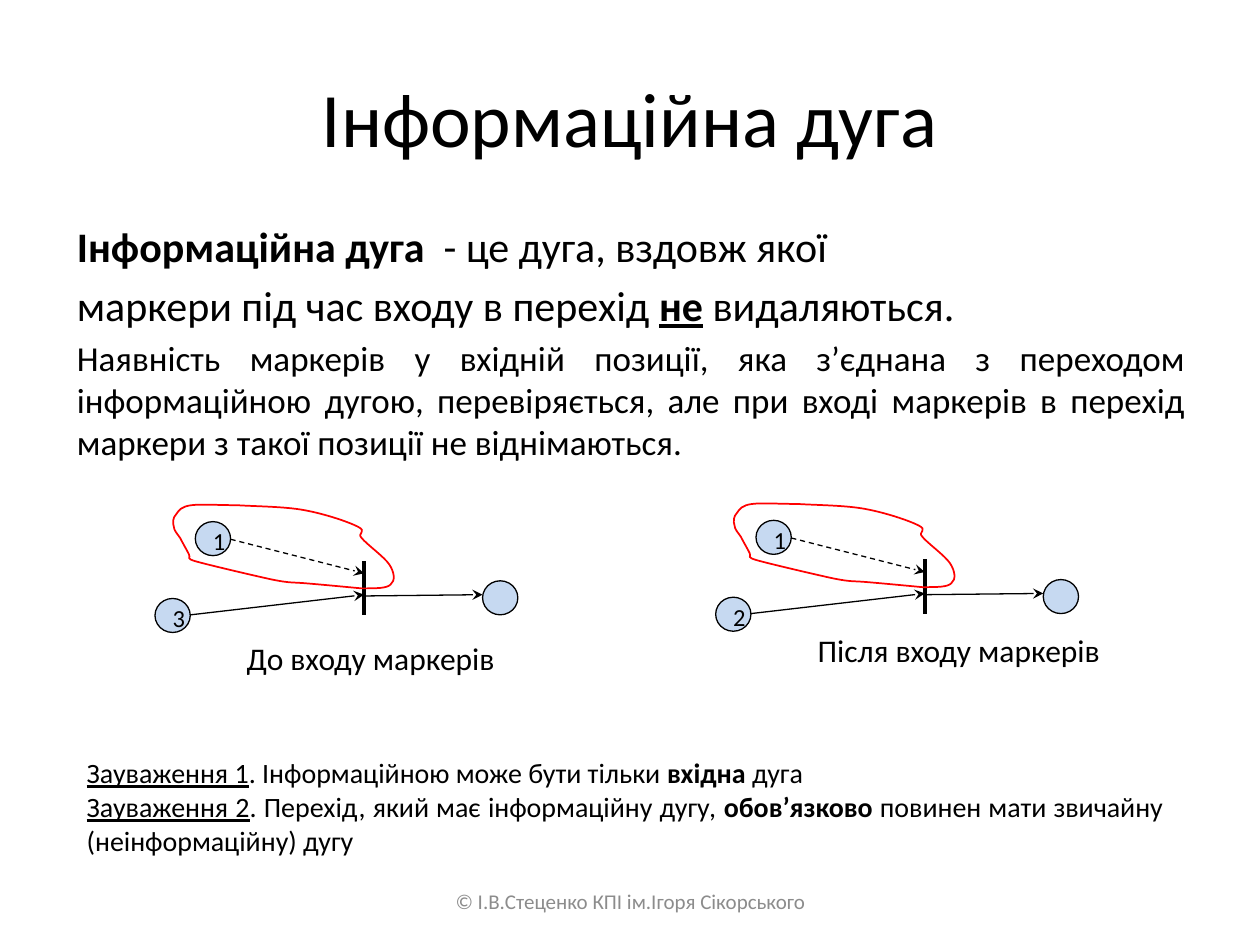
from lxml.etree import SubElement
from pptx import Presentation
from pptx.dml.color import RGBColor
from pptx.enum.dml import MSO_LINE
from pptx.enum.shapes import MSO_CONNECTOR, MSO_SHAPE
from pptx.enum.text import MSO_ANCHOR, MSO_AUTO_SIZE, PP_ALIGN
from pptx.oxml.ns import qn
from pptx.util import Pt

EMU_PER_PX = 9144  # 100 px to the inch
BLACK, RED, GREY, PALE_BLUE = "000000", "FF0000", "8C8C8C", "C6D9F1"
BOLD, UNDERLINE = {"bold": True}, {"underline": True}
PLACE_SIZE = (28, 27)

# Outline around the information arc: start, then cubic curves (two controls, end)
LOOP_START = (161, 17)
LOOP_CURVES = [
    [(153, 13), (135, 7), (119, 4)], [(103, 1), (80, 1), (65, 0)],
    [(50, 0), (37, -1), (29, 0)], [(21, 1), (19, 4), (17, 7)],
    [(14, 10), (14, 14), (15, 17)], [(15, 20), (18, 23), (20, 26)],
    [(22, 30), (25, 35), (27, 39)], [(29, 42), (23, 42), (34, 45)],
    [(45, 48), (79, 56), (93, 59)], [(108, 62), (108, 61), (120, 62)],
    [(132, 63), (153, 65), (164, 66)], [(176, 66), (184, 66), (187, 63)],
    [(191, 60), (190, 53), (186, 47)], [(182, 41), (168, 31), (164, 26)],
    [(160, 22), (169, 21), (161, 17)],
]


def px(*lengths):
    return [round(length * EMU_PER_PX) for length in lengths]


def color(hex_string):
    return RGBColor.from_string(hex_string)


def place(shape, box):
    for name, value in zip(("left", "top", "width", "height"), px(*box)):
        setattr(shape, name, value)


def write(paragraph, runs, size, align=PP_ALIGN.LEFT, hex_string=BLACK):
    """Fill a paragraph with (text, font values) runs."""
    paragraph.alignment = align
    for text, extra in runs:
        run = paragraph.add_run()
        run.text = text
        values = {"name": "Calibri", "size": Pt(size), **extra}
        for name, value in values.items():
            setattr(run.font, name, value)
        run.font.color.rgb = color(hex_string)


def style_line(line, hex_string, width):
    line.color.rgb = color(hex_string)
    line.width = Pt(width)


def add_title(slide, box):
    title = slide.shapes.title
    place(title, box)
    write(title.text_frame.paragraphs[0], [("Інформаційна дуга", {})], 44, PP_ALIGN.CENTER)


def write_paragraphs(frame, content):
    """Write justified paragraphs, each given as (size, runs)."""
    frame.word_wrap = True
    frame.auto_size = MSO_AUTO_SIZE.SHAPE_TO_FIT_TEXT
    for index, (size, runs) in enumerate(content):
        paragraph = frame.add_paragraph() if index else frame.paragraphs[0]
        write(paragraph, runs, size, PP_ALIGN.JUSTIFY)


def add_definition(slide, box):
    body = slide.placeholders[1]
    place(body, box)
    write_paragraphs(body.text_frame, [
        (24, [("Інформаційна дуга ", BOLD), (" - це дуга, вздовж якої ", {})]),
        (24, [("маркери під час входу в перехід ", {}),
              ("не", {**BOLD, **UNDERLINE}), (" видаляються.", {})]),
        (20, [("Наявність маркерів у вхідній позиції, яка з’єднана з переходом "
               "інформаційною дугою, перевіряється, але при вході маркерів в перехід "
               "маркери з такої позиції не віднімаються.", {})]),
    ])
    # Plain paragraphs without bullets
    for paragraph in body.text_frame.paragraphs:
        properties = paragraph._p.get_or_add_pPr()
        properties.set("marL", "0")
        properties.set("indent", "0")
        SubElement(properties, qn("a:buNone"))


def add_notes_text(slide, box):
    frame = slide.shapes.add_textbox(*px(*box)).text_frame
    write_paragraphs(frame, [
        (16, [("Зауваження 1", UNDERLINE), (". Інформаційною може бути тільки ", {}),
              ("вхідна ", BOLD), ("дуга", {})]),
        (16, [("Зауваження 2", UNDERLINE),
              (". Перехід, який має інформаційну дугу, ", {}), ("обов’язково", BOLD),
              (" повинен мати звичайну (неінформаційну) дугу", {})]),
    ])


def add_caption(slide, box, text):
    frame = slide.shapes.add_textbox(*px(*box)).text_frame
    frame.word_wrap = False
    frame.auto_size = MSO_AUTO_SIZE.SHAPE_TO_FIT_TEXT
    write(frame.paragraphs[0], [(text, {})], 18)


def add_footer(slide, box):
    frame = slide.shapes.add_textbox(*px(*box)).text_frame
    frame.word_wrap = True
    frame.vertical_anchor = MSO_ANCHOR.MIDDLE
    write(frame.paragraphs[0], [("© І.В.Стеценко КПІ ім.Ігоря Сікорського", {})],
          12, PP_ALIGN.CENTER, GREY)


def add_arc(shapes, start, end, width=0.75, dashed=False, arrow=True):
    arc = shapes.add_connector(MSO_CONNECTOR.STRAIGHT, *px(*start, *end))
    style_line(arc.line, BLACK, width)
    if dashed:
        arc.line.dash_style = MSO_LINE.DASH
    if arrow:
        SubElement(arc.line._get_or_add_ln(), qn("a:tailEnd"), type="stealth")
    SubElement(arc._element.spPr, qn("a:effectLst"))


def add_position(shapes, left, top, tokens=""):
    position = shapes.add_shape(MSO_SHAPE.OVAL, *px(left, top, *PLACE_SIZE))
    position.shadow.inherit = False
    position.fill.solid()
    position.fill.fore_color.rgb = color(PALE_BLUE)
    style_line(position.line, BLACK, 0.75)
    if tokens:
        frame = position.text_frame
        frame.vertical_anchor = MSO_ANCHOR.TOP
        frame.paragraphs[0].line_spacing = 0.75
        write(frame.paragraphs[0], [(tokens, {})], 14, PP_ALIGN.CENTER)


def add_loop(shapes, at):
    """Draw the red loop around the information arc."""
    builder = shapes.build_freeform(*px(*at(*LOOP_START)), scale=1.0)
    points = [px(*at(*point)) for curve in LOOP_CURVES for point in curve]
    builder.add_line_segments(points, close=True)
    loop = builder.convert_to_shape()
    loop.shadow.inherit = False
    loop.fill.background()
    style_line(loop.line, RED, 1)

    # Join every three straight segments into one cubic curve
    outline = next(loop._element.iter(qn("a:path")))
    segments = outline.findall(qn("a:lnTo"))
    for first in range(0, len(segments), 3):
        curve = SubElement(outline, qn("a:cubicBezTo"))
        for segment in segments[first:first + 3]:
            curve.append(segment[0])
            outline.remove(segment)
    outline.append(outline.find(qn("a:close")))


def add_petri_net(slide, left, top, ordinary_tokens):
    shapes = slide.shapes.add_group_shape().shapes

    def at(x, y):
        return left + x, top + y

    # Transition bar and arcs, positions in drawing order
    add_arc(shapes, at(166, 87), at(166, 44), width=2.25, arrow=False)
    add_arc(shapes, at(28, 87), at(166, 71))
    add_position(shapes, *at(32, 13), "1")
    add_arc(shapes, at(60, 27), at(166, 54), dashed=True)
    add_loop(shapes, at)
    add_position(shapes, *at(260, 60))
    add_arc(shapes, at(166, 72), at(260, 71))
    add_position(shapes, *at(0, 74), ordinary_tokens)


def main():
    presentation = Presentation()
    presentation.slide_width, presentation.slide_height = px(1000, 750)
    slide = presentation.slides.add_slide(presentation.slide_layouts[1])
    add_title(slide, (50, 30, 900, 125))
    add_footer(slide, (342, 695, 317, 40))
    add_definition(slide, (51, 170, 900, 207))
    add_petri_net(slide, 123, 401, "3")
    add_petri_net(slide, 568, 400, "2")
    add_notes_text(slide, (59, 595, 874, 91))
    add_caption(slide, (186, 502, 219, 40), "До входу маркерів")
    add_caption(slide, (639, 496, 247, 40), "Після входу маркерів")
    presentation.save("out.pptx")


if __name__ == "__main__":
    main()
